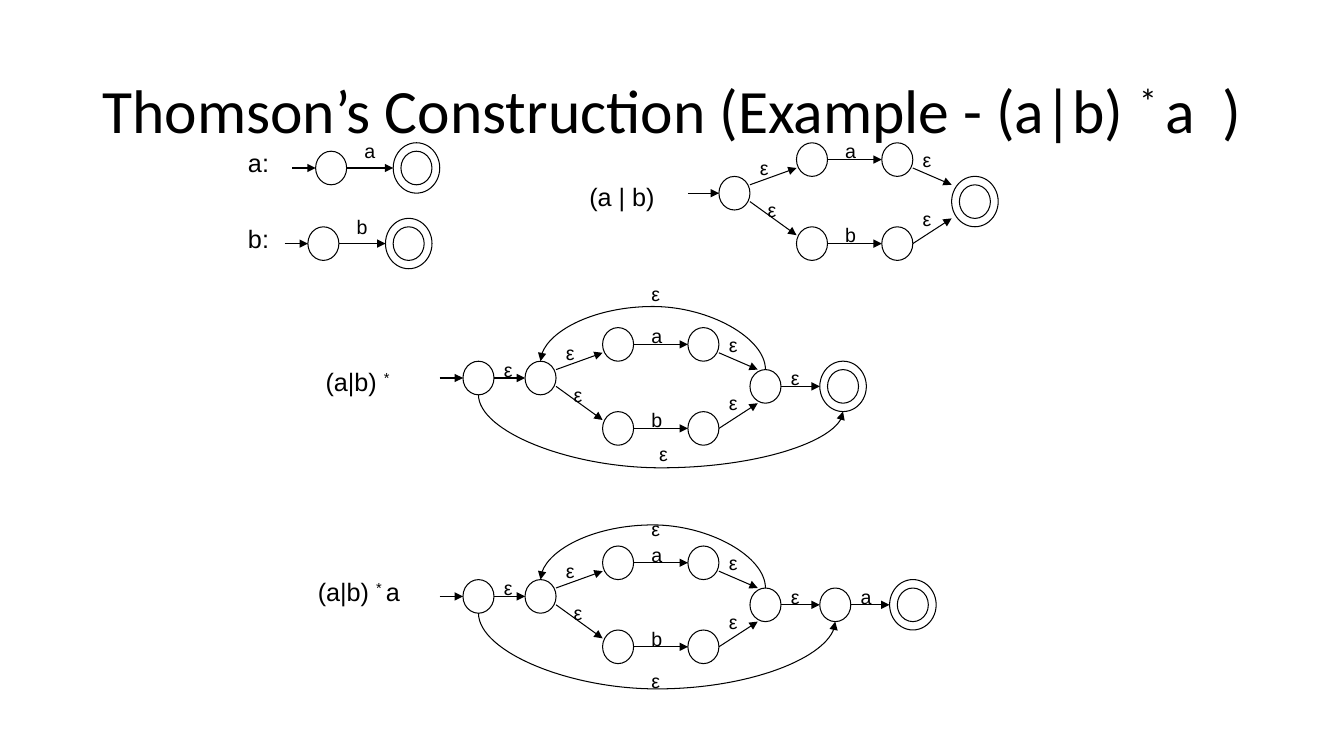
"""Build a slide that shows Thompson-style automata for (a|b)*a."""
from lxml import etree
from pptx import Presentation
from pptx.dml.color import RGBColor
from pptx.enum import shapes, text
from pptx.oxml import ns
from pptx.util import Pt

BLACK = RGBColor(0, 0, 0)
COL, ROW, MARGIN = 5.54, 6, 3.87
EPS = "ε"
STAR_UNION = (("(a|b) ", False), ("*", True))
STAR_UNION_A = (("(a|b) ", False), ("* ", True), ("a", False))
TITLE = (("Thomson’s Construction (Example - (a|b) ", False), ("* ", True), ("a  )", False))


def gx(col):
    """Return the horizontal position of a grid column in points."""
    return MARGIN + col * COL


def gy(row):
    """Return the vertical position of a grid row in points."""
    return row * ROW


def apply(obj, **values):
    """Set several attributes on an object."""
    for name, value in values.items():
        setattr(obj, name, value)


def write(p, parts, size, font):
    """Add (words, raised) parts to a paragraph as runs."""
    for words, raised in parts:
        r = p.add_run()
        r.text = words
        apply(r.font, size=Pt(size), name=font)
        r.font.color.rgb = BLACK
        if raised:
            r.font._element.set("baseline", "30000")


def outline(sp):
    """Give a shape or connector a thin black line."""
    sp.line.color.rgb = BLACK
    sp.line.width = Pt(0.75)


def circle(s, col, row, size):
    """Draw an unfilled ellipse spanning a number of grid cells."""
    sp = s.shapes.add_shape(shapes.MSO_SHAPE.OVAL, Pt(gx(col)), Pt(gy(row)),
                            Pt(size * COL), Pt(size * ROW))
    sp.fill.background()
    sp.shadow.inherit = False
    outline(sp)


def state(s, col, row):
    """Draw an ordinary state."""
    circle(s, col, row, 4)


def final(s, col, row):
    """Draw an accepting state."""
    circle(s, col, row, 6)
    circle(s, col + 1, row + 1, 4)


def finish_arrow(cx):
    """Style a connector and give it an arrowhead at its end."""
    outline(cx)
    etree.SubElement(cx.line._get_or_add_ln(), ns.qn("a:tailEnd"), type="triangle")
    etree.SubElement(cx._element.spPr, ns.qn("a:effectLst"))


def arrow(s, col1, row1, col2, row2):
    """Draw a straight transition."""
    finish_arrow(s.shapes.add_connector(
        shapes.MSO_CONNECTOR.STRAIGHT,
        Pt(gx(col1)), Pt(gy(row1)), Pt(gx(col2)), Pt(gy(row2))))


def arc(s, col1, row1, col2, row2, peak):
    """Draw a curved transition that swings out to the peak row."""
    mid_x, mid_y = gx((col1 + col2) / 2), gy((row1 + row2) / 2)
    half_w, half_h = abs(row2 - row1) * ROW / 2, abs(col2 - col1) * COL / 2
    cx = s.shapes.add_connector(
        shapes.MSO_CONNECTOR.CURVE, Pt(mid_x + half_w), Pt(mid_y - half_h),
        Pt(mid_x - half_w), Pt(mid_y + half_h))
    sp_pr = cx._element.spPr
    sp_pr.find(ns.qn("a:xfrm")).set("rot", "5400000" if row2 < row1 else "16200000")
    geom = sp_pr.find(ns.qn("a:prstGeom"))
    guides = geom.find(ns.qn("a:avLst"))
    if guides is None:
        guides = etree.SubElement(geom, ns.qn("a:avLst"))
    bend = round(abs(peak - row1) / abs(row2 - row1) * 100000)
    etree.SubElement(guides, ns.qn("a:gd"), name="adj1", fmla=f"val {bend}")
    finish_arrow(cx)


def textbox(s, col, row, width, height, parts, size, wrap=False):
    """Place a text box on the grid."""
    tf = s.shapes.add_textbox(Pt(gx(col)), Pt(gy(row)), Pt(width), Pt(height)).text_frame
    apply(tf, word_wrap=wrap, auto_size=text.MSO_AUTO_SIZE.SHAPE_TO_FIT_TEXT)
    write(tf.paragraphs[0], parts, size, "Arial")


def symbol(s, col, row, char):
    """Label a transition with its input symbol."""
    textbox(s, col, row, 19 if char == EPS else 22, 24, ((char, False),), 14, char == EPS)


def caption(s, col, row, width, parts):
    """Name an automaton by its expression."""
    textbox(s, col, row, width, 29, parts, 18)


def single(s, col, row, char):
    """Draw the automaton for one symbol."""
    caption(s, 30, row - 1, 30, ((char + ":", False),))
    state(s, col, row)
    final(s, col + 10, row - 1)
    arrow(s, col - 3, row + 2, col, row + 2)
    arrow(s, col + 4, row + 2, col + 10, row + 2)
    symbol(s, col + 5, row - 2, char)


def union(s, col, row):
    """Draw the two branches for a|b, without the closing state."""
    state(s, col, row)
    arrow(s, col - 4, row + 2, col, row + 2)
    for char, top in (("a", row - 4), ("b", row + 6)):
        state(s, col + 10, top)
        state(s, col + 21, top)
        arrow(s, col + 14, top + 2, col + 21, top + 2)
        symbol(s, col + 15, top - 1, char)
    for line in ((4, 1, 10, -1), (4, 3, 10, 7), (25, -1, 30, 1), (25, 8, 30, 5)):
        arrow(s, col + line[0], row + line[1], col + line[2], row + line[3])
    for dx, dy in ((4, -3), (5, 2), (25, -4), (25, 3)):
        symbol(s, col + dx, row + dy, EPS)


def star(s, col, row, skip_end, skip_peak, eps_above, eps_below):
    """Draw the loop for (a|b)*, without the state that follows it."""
    union(s, col, row)
    state(s, col - 8, row)
    state(s, col + 29, row + 1)
    arrow(s, col - 11, row + 2, col - 8, row + 2)
    arrow(s, col + 33, row + 3, col + 38, row + 3)
    arc(s, col + 31, row + 1, col + 2, row, row - 6.5)
    arc(s, col - 6, row + 4, col + skip_end[0], row + skip_end[1], row + skip_peak)
    for dx, dy in ((-4, -1), (33, 0), eps_above, eps_below):
        symbol(s, col + dx, row + dy, EPS)


def title(s):
    """Fill and format the title placeholder."""
    sp = s.shapes.title
    apply(sp, left=Pt(66), top=Pt(29), width=Pt(828), height=Pt(104))
    tf = sp.text_frame
    apply(tf, vertical_anchor=text.MSO_ANCHOR.MIDDLE, word_wrap=True,
          auto_size=text.MSO_AUTO_SIZE.NONE)
    p = tf.paragraphs[0]
    apply(p, alignment=text.PP_ALIGN.LEFT, line_spacing=0.9)
    write(p, TITLE, 44, "Calibri")


def main():
    """Build and save the slide."""
    prs = Presentation()
    apply(prs, slide_width=Pt(960), slide_height=Pt(540))
    s = prs.slides.add_slide(prs.slide_layouts[5])
    title(s)
    single(s, 40, 18, "a")
    single(s, 39, 27, "b")

    caption(s, 74, 21, 62, (("(a | b)", False),))
    union(s, 92, 21)
    final(s, 122, 21)

    caption(s, 40, 43, 65, STAR_UNION)
    star(s, 67, 43, (41, 6), 12.7, (15, -10), (16, 9))
    final(s, 105, 43)

    caption(s, 39, 68, 78, STAR_UNION_A)
    star(s, 67, 69, (40, 5), 13, (15, -8), (15, 10))
    state(s, 105, 70)
    arrow(s, 109, 72, 114, 72)
    symbol(s, 109, 69, "a")
    final(s, 114, 69)
    prs.save("out.pptx")


if __name__ == "__main__":
    main()
